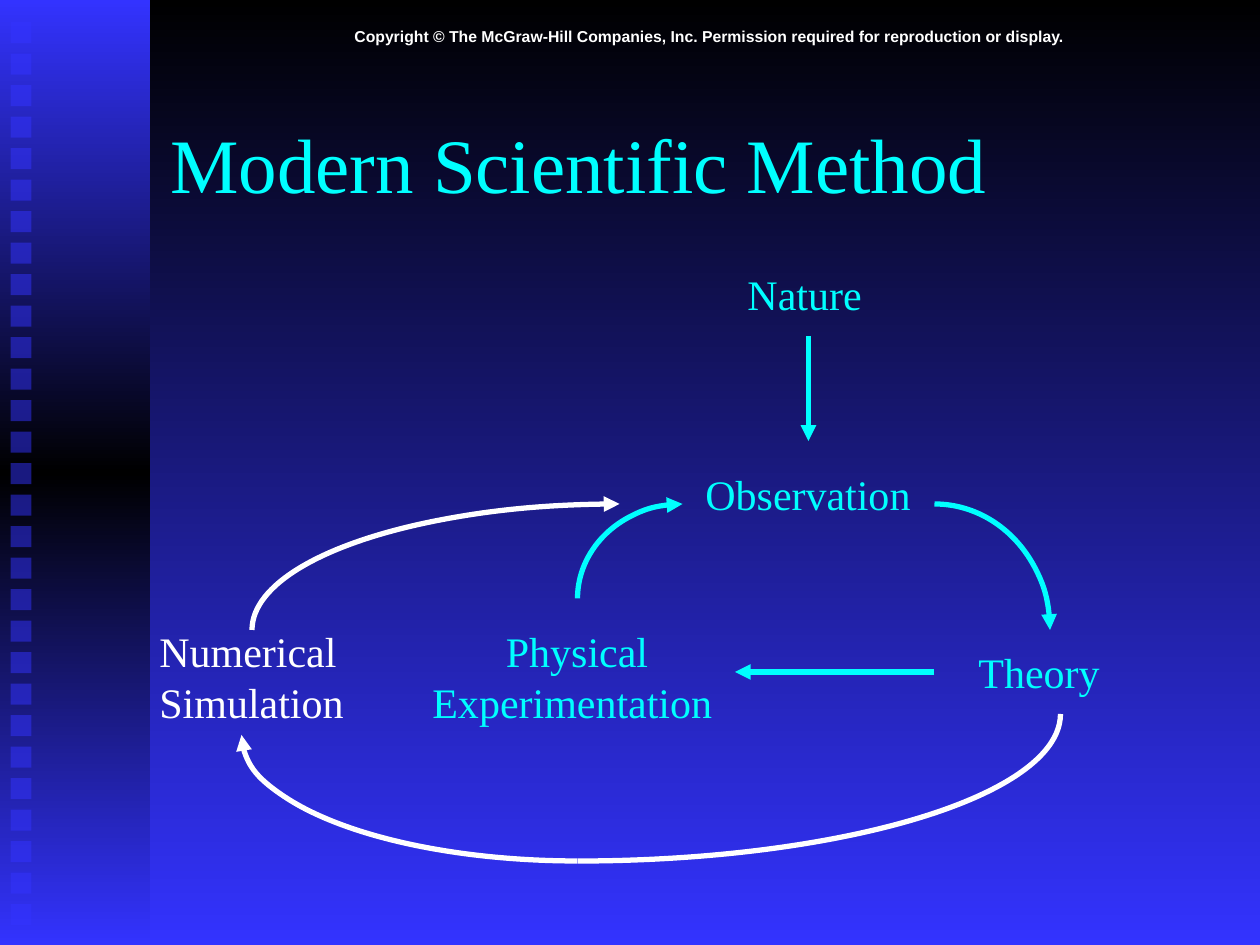
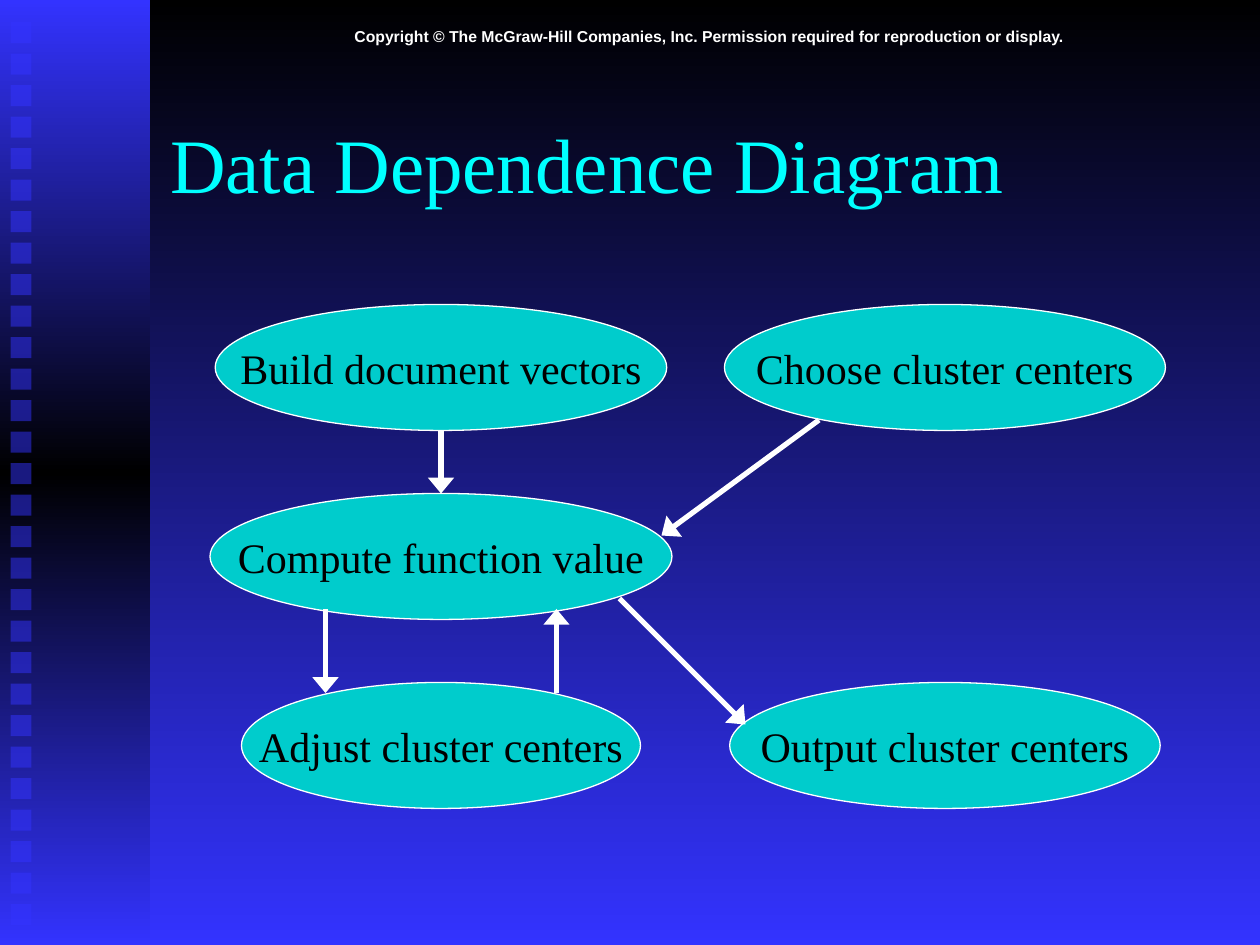
from copy import deepcopy

from lxml import etree
from pptx import Presentation
from pptx import util as u
from pptx.dml.color import RGBColor
from pptx.enum import shapes, text
from pptx.oxml.ns import qn

PX = u.Inches(1) // 120  # one px in EMU

BLACK = RGBColor(0x00, 0x00, 0x00)
WHITE = RGBColor(0xFF, 0xFF, 0xFF)
BLUE = RGBColor(0x33, 0x33, 0xFF)
CYAN = RGBColor(0x00, 0xFF, 0xFF)
TEAL = RGBColor(0x00, 0xCC, 0xCC)

SERIF = "Times New Roman"
SANS = "Arial"
COPYRIGHT = ("Copyright © The McGraw-Hill Companies, Inc. "
             "Permission required for reproduction or display.")


def px(*lengths):
    return [length * PX for length in lengths]


# ---- Formatting helpers ----

def fill_gradient(fill, colors):
    """Spread the colours evenly from top to bottom."""
    fill.gradient()
    fill.gradient_angle = 270
    first_stop = fill.gradient_stops[0]._gs
    for _ in colors[2:]:
        first_stop.addnext(deepcopy(first_stop))
    for index, color in enumerate(colors):
        stop = fill.gradient_stops[index]
        stop.color.rgb = color
        stop.position = index / (len(colors) - 1)


def set_text(shape, content, size, color, font=SERIF, bold=False,
             align=text.PP_ALIGN.LEFT):
    frame = shape.text_frame
    frame.text = content
    for paragraph in frame.paragraphs:
        paragraph.alignment = align
        for run in paragraph.runs:
            run.font.name = font
            run.font.size = u.Pt(size)
            run.font.bold = bold
            run.font.color.rgb = color


def style_line(shape, color, arrow=True, head_width="med"):
    shape.line.color.rgb = color
    shape.line.width = u.Pt(3)
    if arrow:
        etree.SubElement(shape.line._get_or_add_ln(), qn("a:tailEnd"),
                         type="triangle", w=head_width, len="med")


# ---- Kinds of element ----

def add_block(slide, left, top, width, height):
    block = slide.shapes.add_shape(shapes.MSO_SHAPE.RECTANGLE,
                                   *px(left, top, width, height))
    block.shadow.inherit = False
    block.line.fill.background()
    return block


def add_label(slide, content, left, top, width, height=60, color=CYAN,
              first_indent=0):
    label = slide.shapes.add_textbox(*px(left, top, width, height))
    label.text_frame.word_wrap = False
    label.text_frame.auto_size = text.MSO_AUTO_SIZE.SHAPE_TO_FIT_TEXT
    set_text(label, content, 24, color)
    if first_indent:
        properties = label.text_frame.paragraphs[0]._p.get_or_add_pPr()
        properties.set("marL", str(first_indent * PX))


def add_arrow(slide, start, end, color, head_width="med"):
    arrow = slide.shapes.add_connector(shapes.MSO_CONNECTOR.STRAIGHT,
                                       *px(*start, *end))
    style_line(arrow, color, head_width=head_width)
    etree.SubElement(arrow._element.spPr, qn("a:effectLst"))


def add_quarter_arc(slide, center, radii, start_angle, color, arrow=True):
    """Draw a clockwise quarter of an ellipse; 0 degrees points right."""
    (x, y), (rx, ry) = center, radii
    arc = slide.shapes.add_shape(shapes.MSO_SHAPE.ARC,
                                 *px(x - rx, y - ry, 2 * rx, 2 * ry))
    arc.shadow.inherit = False
    arc.fill.background()
    # Angles are stored in 1/60000 degree, adjustments in 1/100000
    arc.adjustments[0] = start_angle * 0.6
    arc.adjustments[1] = (start_angle + 90) % 360 * 0.6
    style_line(arc, color, arrow)


def add_step(slide, content, center_x, top, width):
    step = slide.shapes.add_shape(
        shapes.MSO_SHAPE.OVAL, *px(center_x - width // 2, top, width, 120))
    step.shadow.inherit = False
    step.fill.solid()
    step.fill.fore_color.rgb = TEAL
    step.line.color.rgb = WHITE
    step.line.width = u.Pt(0.75)
    step.text_frame.word_wrap = False
    step.text_frame.vertical_anchor = text.MSO_ANCHOR.MIDDLE
    set_text(step, content, 24, BLACK, align=text.PP_ALIGN.CENTER)


# ---- Shared design ----

def add_side_band(slide):
    band = add_block(slide, 0, 0, 143, 900)
    fill_gradient(band.fill, [BLUE, BLACK, BLUE])
    for row in range(29):
        square = add_block(slide, 10, 21 + 30 * row, 20, 20)
        square.fill.solid()
        square.fill.fore_color.rgb = BLUE
        color = square._element.spPr.find(".//" + qn("a:srgbClr"))
        etree.SubElement(color, qn("a:alpha"), val="50000")


def add_copyright(slide):
    notice = slide.shapes.add_textbox(*px(150, 20, 1050, 30))
    notice.text_frame.word_wrap = True
    set_text(notice, COPYRIGHT, 9, WHITE, SANS, True, text.PP_ALIGN.CENTER)


def design_layout(layout):
    """Give the layout its background and keep only its title."""
    fill_gradient(layout.background.fill, [BLACK, BLUE])
    for placeholder in list(layout.placeholders):
        if placeholder.placeholder_format.type != shapes.PP_PLACEHOLDER.TITLE:
            placeholder._element.getparent().remove(placeholder._element)


def add_slide(presentation, layout, title):
    slide = presentation.slides.add_slide(layout)
    heading = slide.shapes.title
    heading.left, heading.top, heading.width, heading.height = px(
        150, 80, 1020, 150)
    heading.text_frame.auto_size = text.MSO_AUTO_SIZE.NONE
    heading.text_frame.vertical_anchor = text.MSO_ANCHOR.MIDDLE
    set_text(heading, title, 44, CYAN)
    return slide


def move_to_layout(slide, layout):
    """Hand everything but the title over to the layout."""
    for shape in list(slide.shapes):
        if not shape.is_placeholder:
            layout.shapes._spTree.append(shape._element)


# ---- Slides ----

def draw_scientific_method(slide):
    add_label(slide, "Nature", 700, 250, 140)
    add_label(slide, "Observation", 660, 440, 230)
    add_label(slide, "Theory", 920, 610, 150)
    add_label(slide, "Physical\nExperimentation", 400, 590, 300, 108,
              first_indent=70)
    add_label(slide, "Numerical\nSimulation", 140, 590, 210, 108, WHITE)

    # Classic cycle
    add_arrow(slide, (770, 320), (770, 420), CYAN)
    add_quarter_arc(slide, (890, 600), (110, 120), 270, CYAN)
    add_arrow(slide, (890, 640), (700, 640), CYAN)
    add_quarter_arc(slide, (650, 570), (100, 90), 180, CYAN)

    # Detour through simulation
    add_quarter_arc(slide, (550, 680), (460, 140), 0, WHITE, arrow=False)
    add_quarter_arc(slide, (550, 700), (320, 120), 90, WHITE)
    add_quarter_arc(slide, (590, 600), (350, 120), 180, WHITE)


def draw_data_dependence(slide):
    left_column, right_column = 420, 900
    top_row, middle_row, bottom_row = (290 + 180 * row for row in range(3))
    add_step(slide, "Build document vectors", left_column, top_row, 430)
    add_step(slide, "Compute function value", left_column, middle_row, 440)
    add_step(slide, "Choose cluster centers", right_column, top_row, 420)
    add_step(slide, "Adjust cluster centers", left_column, bottom_row, 380)
    add_step(slide, "Output cluster centers", right_column, bottom_row, 410)

    dependences = [
        ((420, 410), (420, 470)),  # build to compute
        ((310, 580), (310, 660)),  # compute to adjust
        ((530, 660), (530, 580)),  # adjust to compute
        ((590, 570), (710, 690)),  # compute to output
        ((780, 400), (630, 510)),  # choose to compute
    ]
    for start, end in dependences:
        add_arrow(slide, start, end, WHITE, head_width="lg")


def main():
    presentation = Presentation()
    presentation.slide_width, presentation.slide_height = px(1200, 900)
    layout = presentation.slide_layouts[5]
    design_layout(layout)

    method = add_slide(presentation, layout, "Modern Scientific Method")
    add_side_band(method)
    add_copyright(method)
    move_to_layout(method, layout)
    draw_scientific_method(method)

    diagram = add_slide(presentation, layout, "Data Dependence Diagram")
    draw_data_dependence(diagram)

    presentation.save("out.pptx")


if __name__ == "__main__":
    main()
